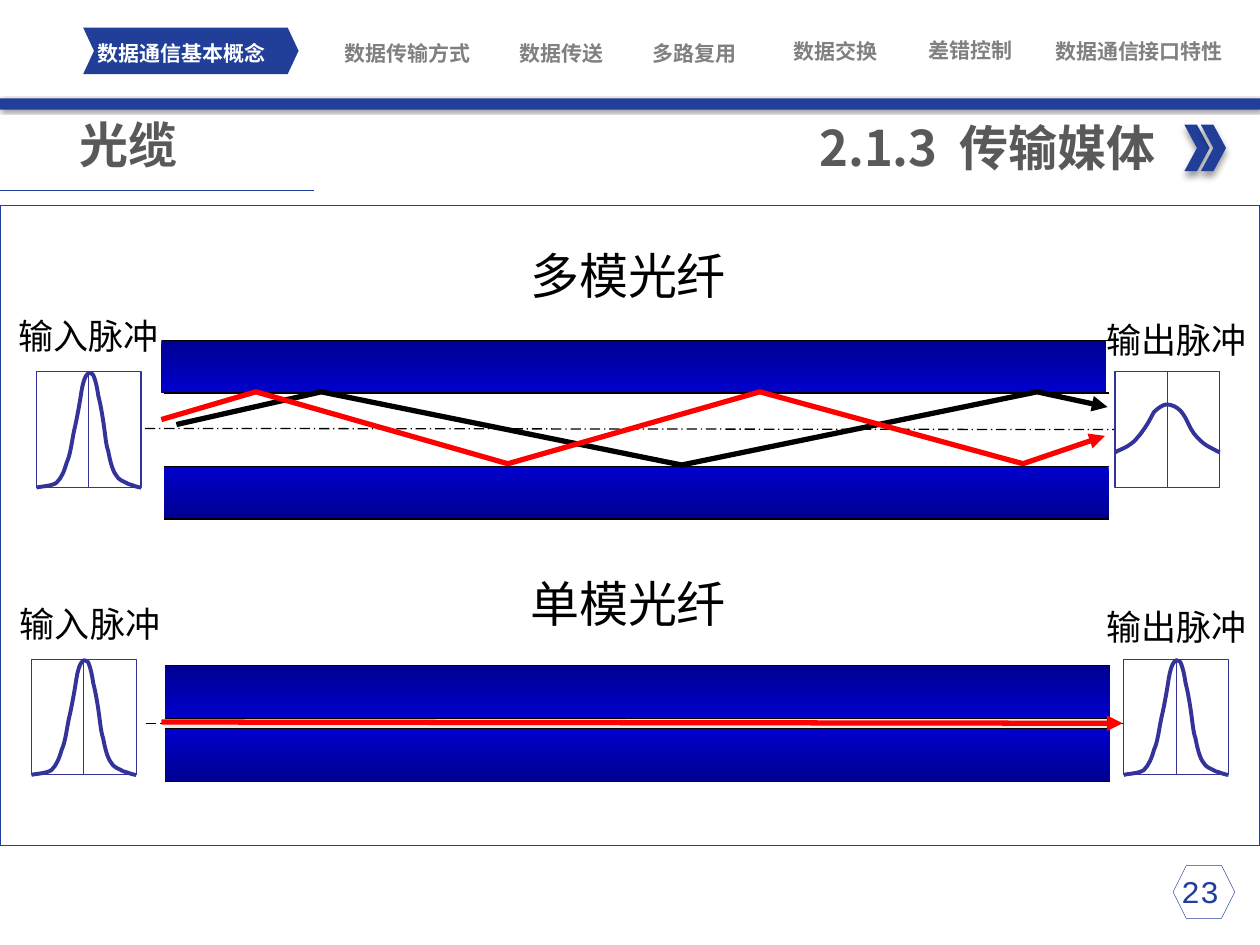
from lxml import etree
from pptx import Presentation
from pptx.dml.color import RGBColor
from pptx.enum.dml import MSO_LINE
from pptx.enum.shapes import MSO_CONNECTOR, MSO_SHAPE
from pptx.enum.text import MSO_ANCHOR, MSO_AUTO_SIZE, PP_ALIGN
from pptx.oxml.ns import qn
from pptx.util import Pt

RECT, CHEVRON, HEXAGON = MSO_SHAPE.RECTANGLE, MSO_SHAPE.CHEVRON, MSO_SHAPE.HEXAGON
STRAIGHT, DASH_DOT = MSO_CONNECTOR.STRAIGHT, MSO_LINE.LONG_DASH_DOT
LEFT, CENTER, RIGHT = PP_ALIGN.LEFT, PP_ALIGN.CENTER, PP_ALIGN.RIGHT
TOP, MIDDLE = MSO_ANCHOR.TOP, MSO_ANCHOR.MIDDLE
GROW = MSO_AUTO_SIZE.SHAPE_TO_FIT_TEXT


class Theme:
    blue, pulse, red = "213F99", "333399", "FF0000"
    black, white, core = "000000", "FFFFFF", "EAEAEA"
    dark, muted = "595959", "808080"
    clad_outer, clad_inner = "000092", "0000CC"
    heading, label, number, nav = 28, 20, 18, 12
    cjk, nav_font, mono = "Noto Sans CJK SC", "Roboto Condensed", "Courier New"


def style(sp, fill=None, line=None, width=0.75, arrow=False):
    """Set fill and outline of a shape or connector and remove its shadow."""
    if hasattr(sp, "fill"):
        sp.shadow.inherit = False
        if fill:
            sp.fill.solid()
            sp.fill.fore_color.rgb = RGBColor.from_string(fill)
        else:
            sp.fill.background()
    if line:
        sp.line.color.rgb = RGBColor.from_string(line)
        sp.line.width = Pt(width)
    else:
        sp.line.fill.background()
    if not hasattr(sp, "fill"):
        etree.SubElement(sp._element.spPr, qn("a:effectLst"))
    if arrow:
        ln = sp._element.spPr.find(qn("a:ln"))
        etree.SubElement(ln, qn("a:tailEnd"), type="triangle")


def set_text(sp, text, size, color, font=Theme.cjk, bold=False, align=LEFT,
             wrap=True, anchor=TOP):
    tf = sp.text_frame
    tf.text = text
    tf.word_wrap, tf.vertical_anchor, tf.auto_size = wrap, anchor, GROW
    p = tf.paragraphs[0]
    p.alignment = align
    r = p.runs[0]
    r.font.size, r.font.bold, r.font.name = Pt(size), bold, font
    r.font.color.rgb = RGBColor.from_string(color)
    etree.SubElement(r.font._element, qn("a:ea"), typeface=font)
    return tf


prs = Presentation()
prs.slide_width, prs.slide_height = Pt(720), Pt(540)
s = prs.slides.add_slide(prs.slide_layouts[5])

# Frame, header bar and section marks
sp = s.shapes.add_shape(RECT, Pt(0), Pt(117.4), Pt(720), Pt(365.8))
style(sp, Theme.white, Theme.blue, 1)
sp = s.shapes.add_shape(HEXAGON, Pt(670.3), Pt(494.6), Pt(35.3), Pt(30.2))
style(sp, None, Theme.blue, 0.25)
sp = s.shapes.add_shape(CHEVRON, Pt(47.5), Pt(15.8), Pt(123.1), Pt(26.6))
sp.adjustments[0] = 0.234
style(sp, Theme.blue)

for shape, x, y, w, h, blur, dist, angle in [
    (RECT, 0, 56.2, 720, 6.5, 2, 1, 45),
    (CHEVRON, 676.8, 71.3, 14.4, 26.6, 4, 3, 90),
    (CHEVRON, 686.2, 71.3, 14.4, 26.6, 4, 3, 90),
]:
    sp = s.shapes.add_shape(shape, Pt(x), Pt(y), Pt(w), Pt(h))
    style(sp, Theme.blue)
    effects = sp._element.spPr.find(qn("a:effectLst"))
    shadow = etree.SubElement(effects, qn("a:outerShdw"), blurRad=str(Pt(blur)),
                              dist=str(Pt(dist)), dir=str(angle * 60000))
    clr = etree.SubElement(shadow, qn("a:srgbClr"), val=Theme.black)
    etree.SubElement(clr, qn("a:alpha"), val="40000")

# Headings and page number
title = s.shapes.title
title.left, title.top, title.width, title.height = Pt(0), Pt(61.9), Pt(270.7), Pt(41)
tf = set_text(title, "光缆", Theme.heading, Theme.dark, bold=True)
tf.margin_left = Pt(45.5)
sp = s.shapes.add_textbox(Pt(54.7), Pt(63.4), Pt(612.7), Pt(41))
set_text(sp, "2.1.3  传输媒体", Theme.heading, Theme.dark, bold=True, align=RIGHT)
sp = s.shapes.add_textbox(Pt(654.5), Pt(494.6), Pt(62.6), Pt(28.8))
set_text(sp, "23", Theme.number, Theme.blue, Theme.mono, align=CENTER)
cx = s.shapes.add_connector(STRAIGHT, Pt(0), Pt(108.7), Pt(179.3), Pt(108.7))
style(cx, line=Theme.blue, width=0.5)

# Navigation; the first section is the current one
for i, (text, x, y, w) in enumerate([
    ("数据通信基本概念", 54.7, 23, 104.4),
    ("数据传输方式", 180.7, 23, 104.4),
    ("数据传送", 268.6, 23, 104.4),
    ("多路复用", 344.9, 23, 104.4),
    ("数据交换", 425.5, 22.3, 104.4),
    ("差错控制", 502.6, 21.2, 104.4),
    ("数据通信接口特性", 581.8, 22.3, 138.2),
]):
    sp = s.shapes.add_textbox(Pt(x), Pt(y), Pt(w), Pt(14.4))
    tf = set_text(sp, text, Theme.nav, Theme.muted if i else Theme.white,
                  Theme.nav_font, True, CENTER, anchor=MIDDLE)
    tf.margin_left = tf.margin_top = tf.margin_bottom = 0
    tf.margin_right = Pt(0 if i else 6.6)

# Pulse curves: a start point, then three Bézier points per segment
narrow = [
    (0, 66.2), (2.2, 65.5), (8.6, 65.5), (11.5, 63.4), (14.4, 60.5), (15.8, 56.9),
    (17.3, 51.8), (19.4, 47.5), (20.2, 39.6), (21.6, 33.1), (23, 27.4), (24.5, 18.7),
    (25.2, 14.4), (25.9, 9.4), (26.6, 6.5), (27.4, 4.3), (28.1, 2.2), (29.5, 0.7),
    (30.2, 0.7), (31.7, 0.7), (32.4, 1.4), (33.1, 3.6), (33.8, 5.8), (34.6, 8.6),
    (35.3, 13.7), (36.7, 18.7), (38.2, 28.1), (38.9, 33.8), (39.6, 38.9), (39.6, 41),
    (41, 45.4), (41.8, 49.7), (43.2, 56.2), (45.4, 59), (46.8, 61.9), (49.7, 62.6),
    (51.1, 63.4), (53.3, 64.8), (53.3, 64.1), (54.7, 64.8), (56.2, 65.5), (59, 66.2),
    (59.8, 66.2),
]
wide = [
    (0, 46.1), (0.7, 45.4), (5, 43.9), (7.2, 42.5), (9.4, 41), (11.5, 39.6),
    (13, 37.4), (14.4, 36), (15.8, 33.8), (17.3, 31.7), (19.4, 28.8), (20.9, 25.2),
    (22.3, 23), (24.5, 20.9), (27.4, 18.7), (29.5, 18.7), (32.4, 18.7), (35.3, 20.2),
    (37.4, 22.3), (39.6, 24.5), (41.8, 29.5), (43.2, 32.4), (44.6, 34.6), (45.4, 36),
    (46.8, 37.4), (48.2, 38.9), (49.7, 40.3), (51.8, 41.8), (54, 43.2), (58.3, 45.4),
    (59.8, 46.1),
]

# Fibres: cladding, axis, and the pulses at both ends
clad_w, clad_h, box_w, box_h = 540, 30.2, 59.8, 66.2
sp = s.shapes.add_shape(RECT, Pt(94.3), Pt(392.4), Pt(clad_w), Pt(41.8))
style(sp, Theme.core)

for name, name_y, claddings, edge_x, axis, box_y, box_line, pulses in [
    ("多模光纤", 136.8, [(92.2, 194.4), (93.6, 266.4)], 93.6,
     (82.8, 244.8, 642.2, 245.5), 212.4, 0.75,
     [("输入脉冲", 3.6, 176.4, 20.9, narrow), ("输出脉冲", 625, 178.6, 637.2, wide)]),
    ("单模光纤", 324, [(94.3, 380.2), (94.3, 416.2)], 94.3,
     (83.5, 413.3, 643, 413.3), 376.6, 0.5,
     [("输入脉冲", 4.3, 340.6, 18, narrow), ("输出脉冲", 625, 342.7, 642.2, narrow)]),
]:
    sp = s.shapes.add_textbox(Pt(295.9), Pt(name_y), Pt(127.4), Pt(41))
    set_text(sp, name, Theme.heading, Theme.black, wrap=False)

    shades = [Theme.clad_outer, Theme.clad_inner]
    for x, y in claddings:
        sp = s.shapes.add_shape(RECT, Pt(x), Pt(y), Pt(clad_w), Pt(clad_h))
        style(sp)
        sp.fill.gradient()
        sp.fill.gradient_angle = 270
        for stop, shade in zip(sp.fill.gradient_stops, shades):
            stop.color.rgb = RGBColor.from_string(shade)
        shades.reverse()
        for edge_y in (y, y + clad_h):
            cx = s.shapes.add_connector(STRAIGHT, Pt(edge_x), Pt(edge_y),
                                        Pt(edge_x + clad_w), Pt(edge_y))
            style(cx, line=Theme.black)

    cx = s.shapes.add_connector(STRAIGHT, *[Pt(v) for v in axis])
    style(cx, line=Theme.black)
    cx.line.dash_style = DASH_DOT

    for label, label_x, label_y, x, curve in pulses:
        sp = s.shapes.add_shape(RECT, Pt(x), Pt(box_y), Pt(box_w), Pt(box_h))
        style(sp, Theme.white, Theme.pulse, box_line)
        mid = x + box_w / 2
        cx = s.shapes.add_connector(STRAIGHT, Pt(mid), Pt(box_y), Pt(mid), Pt(box_y + box_h))
        cx.begin_connect(sp, 0)
        cx.end_connect(sp, 2)
        style(cx, line=Theme.pulse, width=0.5)

        points = [(Pt(x + dx), Pt(box_y + dy)) for dx, dy in curve]
        fb = s.shapes.build_freeform(*points[0])
        fb.add_line_segments(points[1:], close=False)
        sp = fb.convert_to_shape()
        style(sp, line=Theme.pulse, width=2.25)
        outline = next(sp._element.iter(qn("a:path")))
        for i, segment in enumerate(outline.findall(qn("a:lnTo"))):
            if i % 3 == 0:
                bezier = etree.SubElement(outline, qn("a:cubicBezTo"))
            bezier.append(segment[0])
            outline.remove(segment)

        sp = s.shapes.add_textbox(Pt(label_x), Pt(label_y), Pt(95), Pt(31))
        set_text(sp, label, Theme.label, Theme.black, wrap=False)

# Light rays
for color, ray in [
    (Theme.black, [(100.8, 242.6), (183.6, 223.9), (389.5, 265.7), (592.6, 223.9),
                   (632.9, 232.6)]),
    (Theme.red, [(92.2, 239.8), (146.2, 223.9), (290.2, 265), (434.2, 223.9),
                 (584.6, 265), (631.4, 249.1)]),
]:
    points = [(Pt(x), Pt(y)) for x, y in ray]
    fb = s.shapes.build_freeform(*points[0])
    fb.add_line_segments(points[1:], close=False)
    style(fb.convert_to_shape(), line=color, width=3, arrow=True)
cx = s.shapes.add_connector(STRAIGHT, Pt(92.2), Pt(412.6), Pt(641.5), Pt(413.3))
style(cx, line=Theme.red, width=3, arrow=True)

prs.save("out.pptx")
